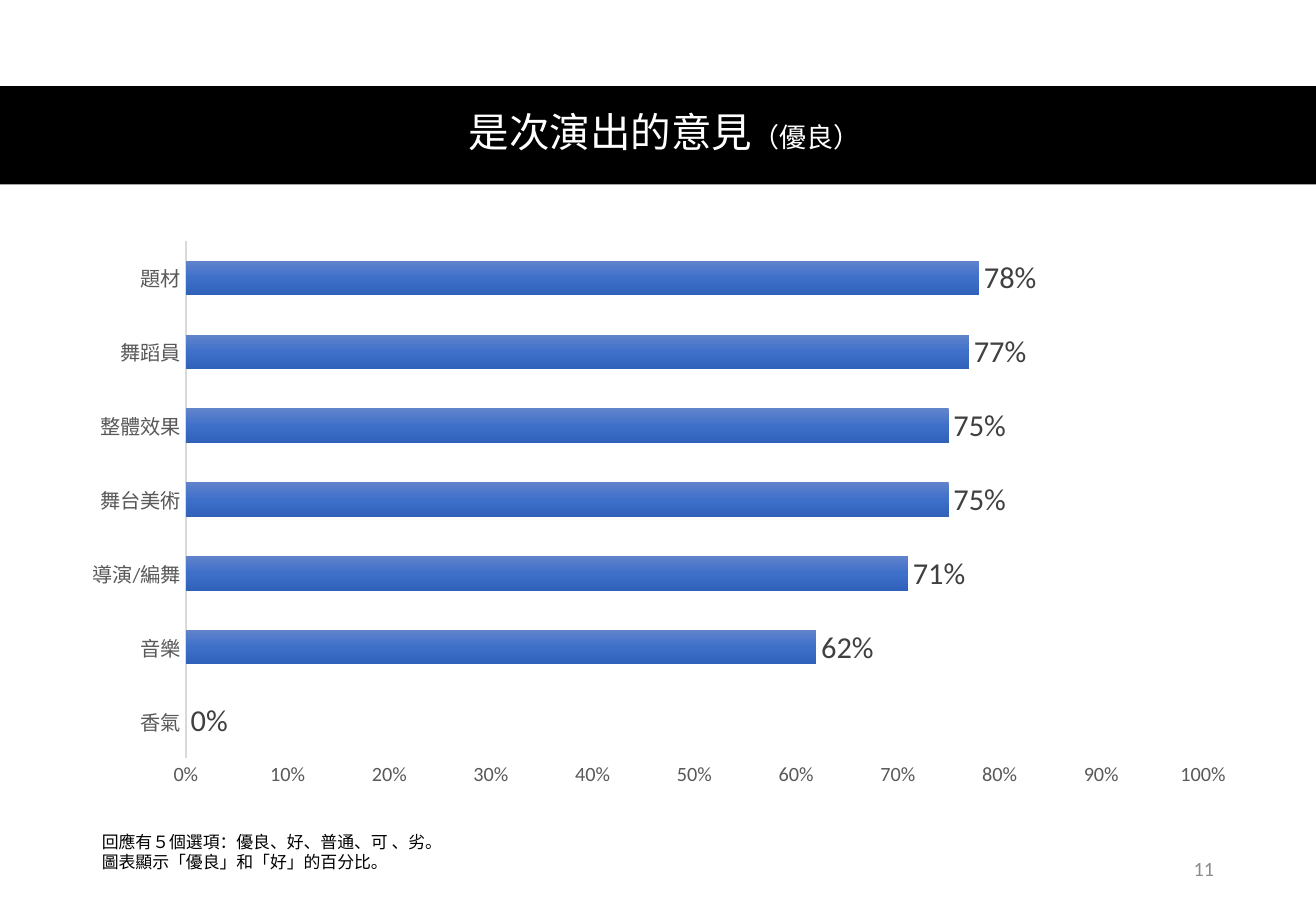
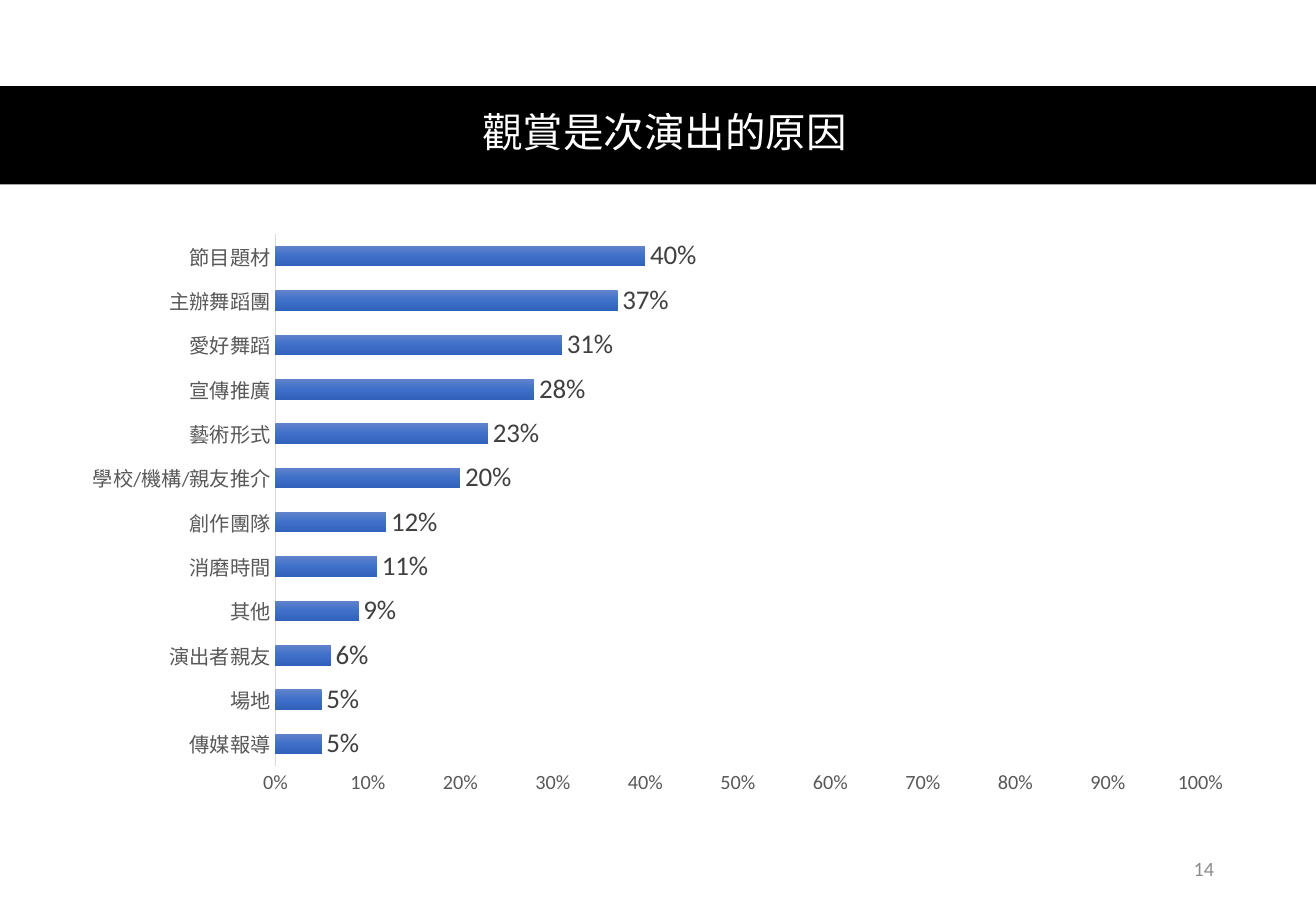
from dataclasses import dataclass

from pptx import Presentation
from pptx.chart.data import CategoryChartData
from pptx.dml.color import RGBColor
from pptx.enum.chart import XL_CHART_TYPE, XL_LABEL_POSITION, XL_TICK_MARK
from pptx.enum.shapes import MSO_SHAPE
from pptx.enum.text import MSO_ANCHOR, MSO_AUTO_SIZE, PP_ALIGN
from pptx.oxml import parse_xml
from pptx.oxml.ns import nsdecls, qn
from pptx.util import Cm, Pt


@dataclass(frozen=True)
class Theme:
    band: str = "000000"
    title: str = "FFFFFF"
    note: str = "000000"
    page_number: str = "8C8C8C"
    axis_text: str = "595959"
    axis_line: str = "D9D9D9"
    value_label: str = "404040"
    bar_gradient: tuple = ((0, "6183CB"), (50, "3E70CA"), (100, "3062BB"))
    text_font: str = "Arial"
    number_font: str = "Calibri"
    title_size: int = 24
    subtitle_size: int = 16
    axis_size: int = 12
    page_number_size: int = 12
    note_size: int = 10


theme = Theme()

SLIDES = [
    {
        "title": [("是次演出的意見", theme.title_size), ("（優良）", theme.subtitle_size)],
        "values": {
            "香氣": 0, "音樂": 0.62, "導演/編舞": 0.71, "舞台美術": 0.75,
            "整體效果": 0.75, "舞蹈員": 0.77, "題材": 0.78,
        },
        "label_size": 18,
        "plot_area": {"x": 0.099, "y": 0.032, "w": 0.864, "h": 0.885},
        "note": ["回應有５個選項：優良、好、普通、可 、劣。", "圖表顯示「優良」和「好」的百分比。"],
        "page_number": "11",
    },
    {
        "title": [("觀賞是次演出的原因", theme.title_size)],
        "values": {
            "傳媒報導": 0.05, "場地": 0.05, "演出者親友": 0.06, "其他": 0.09,
            "消磨時間": 0.11, "創作團隊": 0.12, "學校/機構/親友推介": 0.2,
            "藝術形式": 0.23, "宣傳推廣": 0.28, "愛好舞蹈": 0.31,
            "主辦舞蹈團": 0.37, "節目題材": 0.4,
        },
        "label_size": 16,
        "plot_area": None,
        "note": [],
        "page_number": "14",
    },
]


def style_font(font, name, size, color):
    font.name = name
    font.size = Pt(size)
    font.color.rgb = RGBColor.from_string(color)


def add_text(slide, box, paragraphs, name, color, align=PP_ALIGN.LEFT, anchor=MSO_ANCHOR.MIDDLE):
    """Add a text box; each paragraph is a list of (text, size) runs."""
    shape = slide.shapes.add_textbox(*[Cm(length) for length in box])
    frame = shape.text_frame
    frame.word_wrap = True
    frame.vertical_anchor = anchor
    for index, runs in enumerate(paragraphs):
        paragraph = frame.add_paragraph() if index else frame.paragraphs[0]
        paragraph.alignment = align
        for text, size in runs:
            run = paragraph.add_run()
            run.text = text
            style_font(run.font, name, size, color)
    return frame


presentation = Presentation()
presentation.slide_width = Cm(27.51)
presentation.slide_height = Cm(19.05)
blank_layout = presentation.slide_layouts[6]

for content in SLIDES:
    slide = presentation.slides.add_slide(blank_layout)

    # Title band
    band = slide.shapes.add_shape(
        MSO_SHAPE.RECTANGLE, 0, Cm(1.8), presentation.slide_width, Cm(2.06))
    band.shadow.inherit = False
    band.fill.solid()
    band.fill.fore_color.rgb = RGBColor.from_string(theme.band)
    band.line.fill.background()
    title = add_text(slide, (1.24, 1.78, 25.3, 2.06), [content["title"]],
                     theme.text_font, theme.title, PP_ALIGN.CENTER)
    title.paragraphs[0].line_spacing = 0.9

    # Bar chart
    chart_data = CategoryChartData(number_format="0%")
    chart_data.categories = content["values"].keys()
    chart_data.add_series("Series 1", content["values"].values())
    chart = slide.shapes.add_chart(
        XL_CHART_TYPE.BAR_CLUSTERED, Cm(1.45), Cm(4.65), Cm(24.61), Cm(12.22), chart_data).chart
    chart.has_legend = False
    chart.has_title = False
    style_font(chart.font, theme.number_font, 10, theme.note)

    for axis in (chart.category_axis, chart.value_axis):
        axis.has_major_gridlines = False
        axis.major_tick_mark = XL_TICK_MARK.NONE
        axis.minor_tick_mark = XL_TICK_MARK.NONE
        style_font(axis.tick_labels.font, theme.number_font, theme.axis_size, theme.axis_text)
    category_line = chart.category_axis.format.line
    category_line.width = Pt(1)
    category_line.color.rgb = RGBColor.from_string(theme.axis_line)
    value_axis = chart.value_axis
    value_axis.format.line.fill.background()
    value_axis.minimum_scale = 0
    value_axis.maximum_scale = 1
    value_axis.major_unit = 0.1
    value_axis.tick_labels.number_format = "0%"
    value_axis.tick_labels.number_format_is_linked = False

    plot = chart.plots[0]
    plot.vary_by_categories = False
    plot.gap_width = 115
    plot.overlap = -20
    plot.has_data_labels = True
    labels = plot.data_labels
    labels.show_value = True
    labels.number_format = "0%"
    labels.number_format_is_linked = False
    labels.position = XL_LABEL_POSITION.OUTSIDE_END
    style_font(labels.font, theme.number_font, content["label_size"], theme.value_label)

    series = plot.series[0]
    series.format.fill.solid()
    solid_fill = series._element.find(qn("c:spPr")).find(qn("a:solidFill"))
    stops = "".join(
        f'<a:gs pos="{position * 1000}"><a:srgbClr val="{color}"/></a:gs>'
        for position, color in theme.bar_gradient)
    solid_fill.getparent().replace(solid_fill, parse_xml(
        f'<a:gradFill {nsdecls("a")} rotWithShape="1"><a:gsLst>{stops}</a:gsLst>'
        '<a:lin ang="5400000" scaled="0"/></a:gradFill>'))

    if content["plot_area"]:
        plot_area = chart._chartSpace.find(".//" + qn("c:plotArea"))
        for layout in plot_area.findall(qn("c:layout")):
            plot_area.remove(layout)
        modes = '<c:xMode val="edge"/><c:yMode val="edge"/>'
        sizes = "".join(f'<c:{key} val="{value}"/>' for key, value in content["plot_area"].items())
        plot_area.insert(0, parse_xml(
            f'<c:layout {nsdecls("c")}><c:manualLayout><c:layoutTarget val="inner"/>'
            f'{modes}{sizes}</c:manualLayout></c:layout>'))

    # Footer
    add_text(slide, (19.43, 17.65, 6.2, 1.02),
             [[(content["page_number"], theme.page_number_size)]],
             theme.number_font, theme.page_number, PP_ALIGN.RIGHT)
    if content["note"]:
        note = add_text(slide, (1.88, 17.27, 7.75, 1.12),
                        [[(line, theme.note_size)] for line in content["note"]],
                        theme.text_font, theme.note, anchor=MSO_ANCHOR.TOP)
        note.word_wrap = False
        note.auto_size = MSO_AUTO_SIZE.SHAPE_TO_FIT_TEXT

presentation.save("out.pptx")
